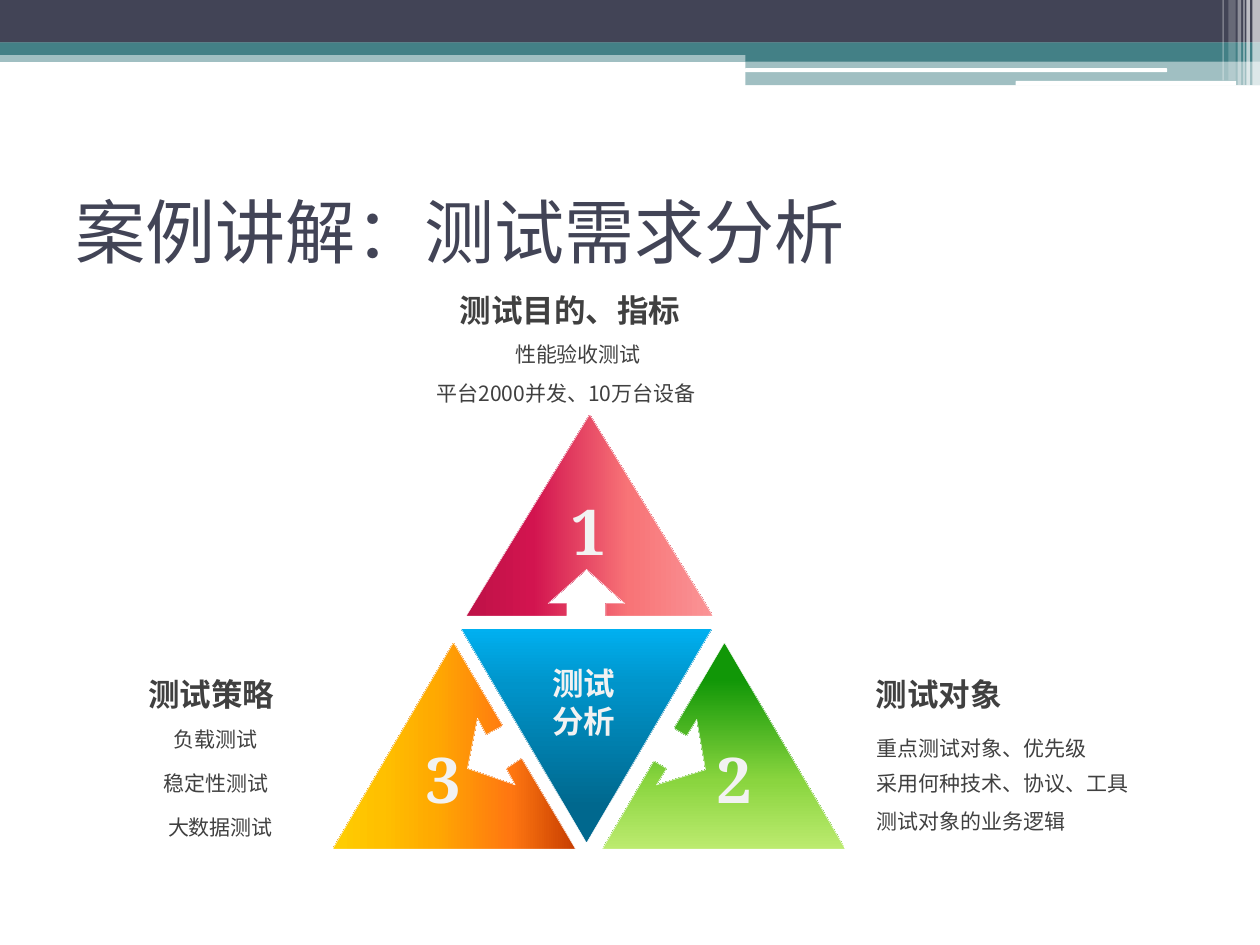
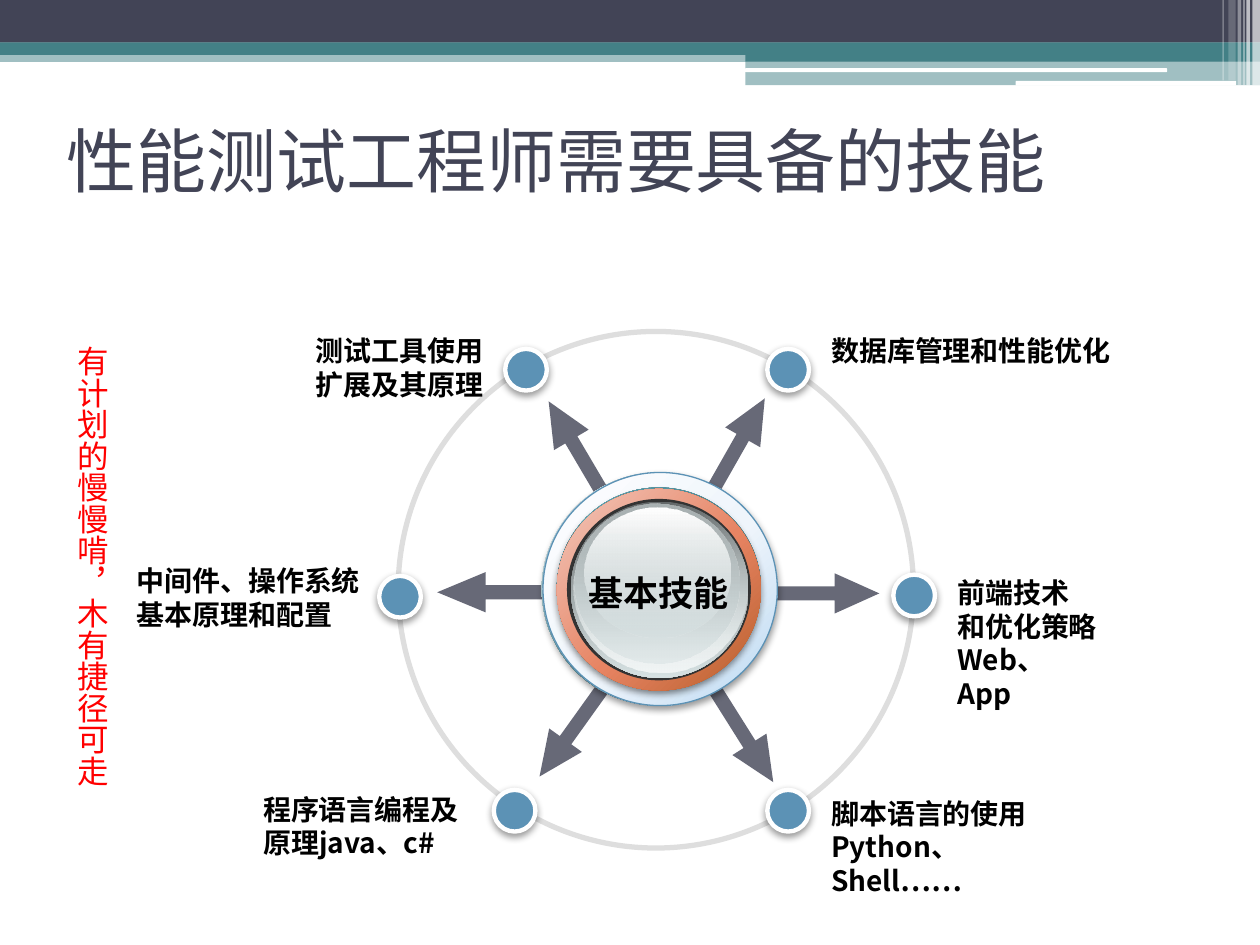
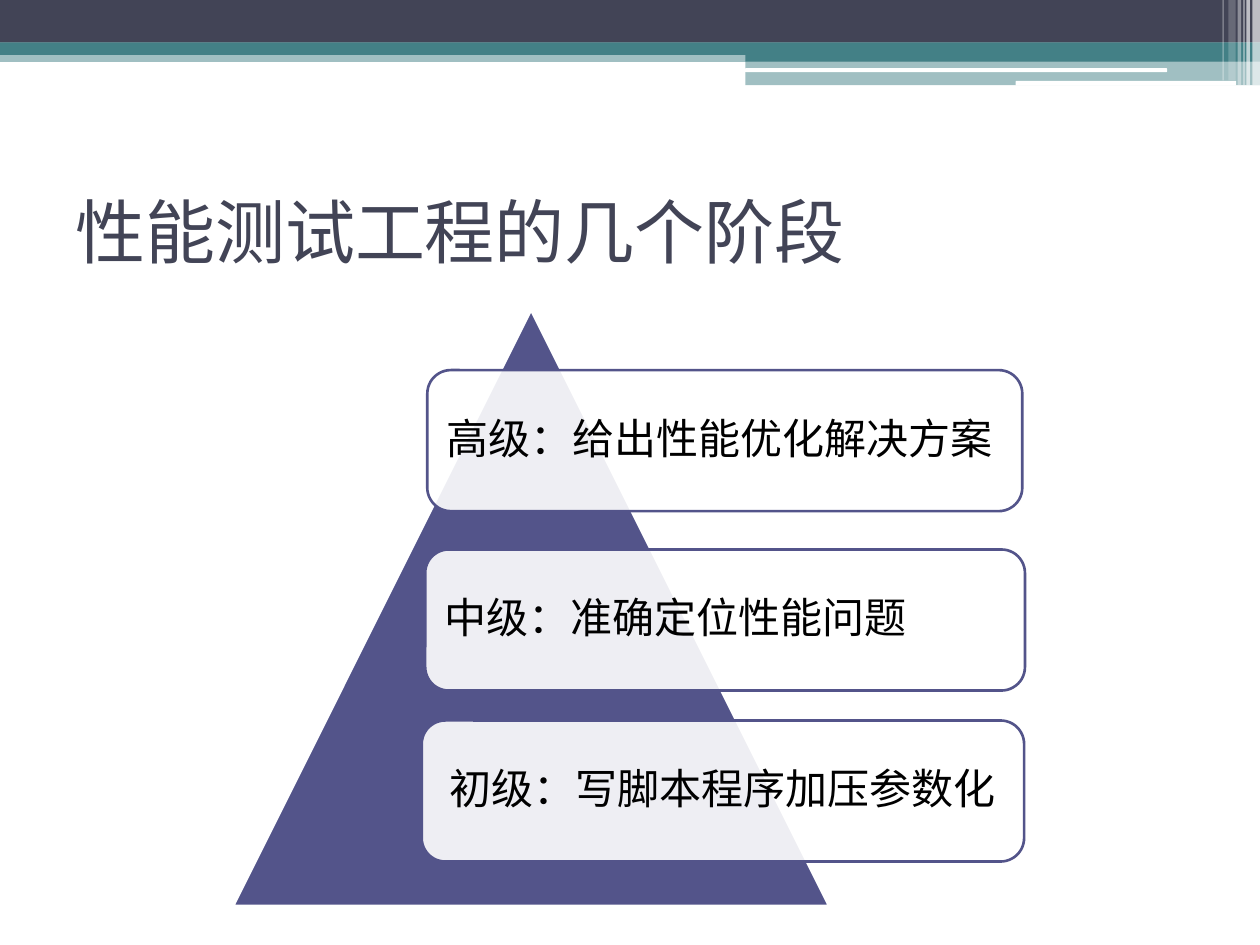
from dataclasses import dataclass
from typing import Optional, Union

from lxml.etree import Element, SubElement
from pptx import Presentation
from pptx.dml.color import RGBColor
from pptx.enum.shapes import MSO_SHAPE as Preset
from pptx.enum.text import MSO_ANCHOR as Anchor, PP_ALIGN as Align
from pptx.oxml.ns import qn
from pptx.shapes.autoshape import Shape
from pptx.slide import Slide
from pptx.util import Pt


@dataclass(frozen=True)
class Solid:
    color: str
    alpha: int = 100


@dataclass(frozen=True)
class Gradient:
    stops: tuple
    angle: int = 0
    focus: Optional[tuple[int, int]] = None


Fill = Optional[Union[Solid, Gradient]]


@dataclass(frozen=True)
class Line:
    color: str
    width: float


@dataclass(frozen=True)
class Shadow:
    alpha: int
    blur: float
    distance: float


@dataclass(frozen=True)
class Box:
    left: float
    top: float
    width: float
    height: float


def centred_box(x: float, y: float, width: float, height: float) -> Box:
    return Box(x - width / 2, y - height / 2, width, height)


@dataclass(frozen=True)
class Theme:
    navy: str = "424456"
    teal: str = "438086"
    white: str = "FFFFFF"
    black: str = "000000"
    gray: str = "404040"
    pale: str = "F2F2F2"
    red: str = "FF0000"
    indigo: str = "53548A"
    blue: str = "5C92B5"
    orbit: str = "DEDEDE"
    dark: str = "333333"
    title_font: str = "Karla"
    sans: str = "Noto Sans CJK SC"
    serif: str = "Noto Serif"
    title_size: int = 40
    number_size: int = 36
    stage_size: int = 24
    hub_size: int = 20
    head_size: int = 18
    skill_size: int = 16
    body_size: int = 12
    crimson: Gradient = Gradient(((0, "BE1247"), (27, "D2144F"), (66, "F87477"), (100, "FA9496")))
    green: Gradient = Gradient(((18, "119707"), (67, "8AD53F"), (100, "BCEB6F")), 90)
    azure: Gradient = Gradient(((17, "00688E"), (74, "0094CA"), (100, "00B0F0")), 90)
    orange: Gradient = Gradient(
        ((0, "C73E01"), (27, "FF7711"), (59, "FFAA01"), (80, "FFC000"), (100, "FECE02")), 180)
    backing: Gradient = Gradient(((0, "FFFFFF"), (50, "67AFBD"), (100, "FFFFFF")), 45)
    halo: Gradient = Gradient(((0, "FEFEFF"), (55, "EFF5FB"), (100, "BAD8F2")), focus=(-40, -90))
    rim: Gradient = Gradient(((0, "4F8691"), (50, "67AFBD"), (100, "4F8691")), 315)
    copper: Gradient = Gradient(((0, "F2C9BF"), (55, "E78463"), (100, "B75E2A")), focus=(-40, -90))
    steel: Gradient = Gradient(((0, "636869"), (100, "D6E1E2")), 90)
    mist: Gradient = Gradient(((0, "D6E1E2", 0), (100, "F1F5F5")), 90)
    glass: Gradient = Gradient(((0, "AAB2B3"), (100, "D6E1E2", 48)), 90)
    gloss: Gradient = Gradient(((0, "FFFFFF"), (100, "D6E1E2", 38)), 90)


THEME = Theme()
SOFT_SHADOW = Shadow(40, 4.1, 2)
THIN_WHITE = Line(THEME.white, 0.25)


@dataclass(frozen=True)
class Band:
    box: Box
    fill: Solid
    preset: Preset = Preset.RECTANGLE


@dataclass(frozen=True)
class Label:
    text: str
    box: Box
    bold: bool = False
    size: int = THEME.body_size
    align: Align = Align.CENTER


@dataclass(frozen=True)
class Sector:
    number: str
    number_box: Box
    fill: Gradient
    outline: tuple


@dataclass(frozen=True)
class Spoke:
    x: float
    y: float
    angle: float
    length: float = 62.6


@dataclass(frozen=True)
class Ring:
    box: Box
    fill: Fill
    line: Optional[Line] = None
    shadow: Optional[Shadow] = None


@dataclass(frozen=True)
class Stage:
    text: str
    box: Box
    align: Align = Align.LEFT


def white_stripe(left: float, width: float, height: float, alpha: int) -> Band:
    return Band(Box(left, 0, width, height), Solid(THEME.white, alpha))


TEAL, PALE_TEAL, WHITE = Solid(THEME.teal), Solid(THEME.teal, 50), Solid(THEME.white)
BANDS = (
    Band(Box(0, 28.8, 720, 6.6), PALE_TEAL),
    Band(Box(0, 0, 720, 24.4), Solid(THEME.navy)),
    Band(Box(0, 24.2, 720, 7.2), TEAL),
    Band(Box(426, 27.8, 294, 7.3), TEAL),
    Band(Box(426, 34.8, 294, 13.9), PALE_TEAL),
    Band(Box(425.7, 39, 241.2, 2.2), WHITE, Preset.ROUNDED_RECTANGLE),
    Band(Box(580.4, 46.2, 126, 2.7), WHITE, Preset.ROUNDED_RECTANGLE),
    white_stripe(715.6, 4.4, 48.8, 65),
    white_stripe(712.2, 2, 48.8, 65),
    white_stripe(710.5, 0.8, 48.8, 60),
    white_stripe(707.2, 2, 48.8, 40),
    white_stripe(702, 4.2, 46, 20),
    white_stripe(698.6, 0.8, 46, 30),
)


def add_color(parent, color: str, alpha: int) -> None:
    node = SubElement(parent, qn("a:srgbClr"), val=color)
    if alpha < 100:
        SubElement(node, qn("a:alpha"), val=str(alpha * 1000))


def gradient_node(gradient: Gradient):
    node = Element(qn("a:gradFill"), rotWithShape="1")
    stop_list = SubElement(node, qn("a:gsLst"))
    for position, color, *alpha in gradient.stops:
        stop = SubElement(stop_list, qn("a:gs"), pos=str(position * 1000))
        add_color(stop, color, alpha[0] if alpha else 100)
    if gradient.focus:
        x, y = gradient.focus
        circle = SubElement(node, qn("a:path"), path="circle")
        edges = {"l": x, "t": y, "r": 100 - x, "b": 100 - y}
        SubElement(circle, qn("a:fillToRect"), {side: str(v * 1000) for side, v in edges.items()})
    else:
        SubElement(node, qn("a:lin"), ang=str(gradient.angle * 60000), scaled="0")
    return node


def style(shape: Shape, fill: Fill, line: Optional[Line] = None,
          shadow: Optional[Shadow] = None) -> Shape:
    shape.shadow.inherit = False
    properties = shape.element.spPr
    shape.fill.background()
    if isinstance(fill, Gradient):
        properties.replace(properties.find(qn("a:noFill")), gradient_node(fill))
    elif fill:
        node = Element(qn("a:solidFill"))
        add_color(node, fill.color, fill.alpha)
        properties.replace(properties.find(qn("a:noFill")), node)
    if line:
        shape.line.color.rgb = RGBColor.from_string(line.color)
        shape.line.width = Pt(line.width)
    else:
        shape.line.fill.background()
    if shadow:
        node = SubElement(
            properties.find(qn("a:effectLst")), qn("a:outerShdw"), blurRad=str(Pt(shadow.blur)),
            dist=str(Pt(shadow.distance)), dir="5400000", rotWithShape="0")
        add_color(node, THEME.black, shadow.alpha)
    return shape


def add_preset(page: Slide, preset: Preset, box: Box, fill: Fill, line: Optional[Line] = None,
               shadow: Optional[Shadow] = None) -> Shape:
    shape = page.shapes.add_shape(preset, Pt(box.left), Pt(box.top), Pt(box.width), Pt(box.height))
    return style(shape, fill, line, shadow)


def add_text(page: Slide, text: str, box: Box, *, size: int, color: str, font: str = THEME.sans,
             bold: bool = False, align: Align = Align.LEFT, anchor: Anchor = Anchor.TOP,
             wrap: bool = True, vertical: bool = False, spacing: float = 1.0) -> None:
    frame = page.shapes.add_textbox(
        Pt(box.left), Pt(box.top), Pt(box.width), Pt(box.height)).text_frame
    frame.word_wrap = wrap
    frame.vertical_anchor = anchor
    if vertical:
        frame._txBody.bodyPr.set("vert", "eaVert")
    frame.text = text
    for para in frame.paragraphs:
        para.alignment = align
        para.line_spacing = spacing
        for span in para.runs:
            span.font.name = font
            span.font.size = Pt(size)
            span.font.bold = bold
            span.font.color.rgb = RGBColor.from_string(color)
            SubElement(span.font._element, qn("a:ea"), typeface=THEME.sans)


def add_page(deck, title: str, left: float = 36, top: float = 90) -> Slide:
    page = deck.slides.add_slide(deck.slide_layouts[6])
    for band in BANDS:
        add_preset(page, band.preset, band.box, band.fill)
    add_text(page, title, Box(left, top, 648, 84), size=THEME.title_size, color=THEME.navy,
             font=THEME.title_font, anchor=Anchor.MIDDLE)
    return page


SECTORS = (
    Sector("1", Box(319, 277.9, 33.1, 51.1), THEME.crimson, (
        (337, 236.9), (407.5, 352.1), (346.3, 352.1), (346.3, 344.9), (357.1, 344.9),
        (335.2, 325.4), (313.2, 344.9), (324, 344.9), (324, 352.1), (266.4, 352.1))),
    Sector("2", Box(402.5, 419.8, 33.1, 51.1), THEME.green, (
        (414, 367.2), (483.1, 485.3), (344.2, 485.3), (373.7, 434.9), (380.9, 439.2),
        (375.1, 448.6), (403.2, 439.9), (398.2, 411.1), (392.4, 420.5), (385.2, 416.2))),
    Sector("3", Box(236.2, 419.8, 33.1, 51.1), THEME.orange, (
        (259.2, 367.2), (287.3, 414.7), (277.9, 419.8), (272.9, 410.4), (267.1, 439.2),
        (294.5, 448.6), (289.4, 439.2), (298.1, 433.4), (329, 485.3), (190.1, 485.3))),
)


def heading(text: str, x: float, top: float) -> Label:
    return Label(text, Box(x - 80.5, top, 161, 28.8), True, THEME.head_size)


def detail(text: str, x: float, top: float, width: float = 99) -> Label:
    return Label(text, Box(x - width / 2, top, width, 21.6))


def target(text: str, top: float) -> Label:
    return Label(text, Box(493.9, top, 167, 21.6), align=Align.LEFT)


ANALYSIS_LABELS = (
    heading("测试目的、指标", 325.7, 162.7),
    detail("性能验收测试", 330.3, 191.5, 134),
    detail("平台2000并发、10万台设备", 323.4, 213.8, 183),
    heading("测试策略", 120.6, 382.3),
    detail("负载测试", 122.9, 411.8),
    detail("稳定性测试", 123.7, 437),
    detail("大数据测试", 126, 462.2),
    heading("测试对象", 536.3, 382.3),
    target("重点测试对象、优先级", 416.9),
    target("采用何种技术、协议、工具", 437),
    target("测试对象的业务逻辑", 458.6),
)


def build_analysis(deck) -> None:
    page = add_page(deck, "案例讲解：测试需求分析")
    for sector in SECTORS:
        start, *rest = [(Pt(x), Pt(y)) for x, y in sector.outline]
        builder = page.shapes.build_freeform(*start)
        builder.add_line_segments(rest, close=True)
        style(builder.convert_to_shape(), sector.fill, THIN_WHITE)
    centre = add_preset(page, Preset.ISOSCELES_TRIANGLE, Box(263.5, 359.3, 143.3, 122.4),
                        THEME.azure, THIN_WHITE)
    centre.rotation = 180
    add_text(page, "测试分析", Box(306, 375.8, 55.4, 51.1), size=THEME.head_size,
             color=THEME.pale, bold=True, align=Align.CENTER)
    for sector in SECTORS:
        add_text(page, sector.number, sector.number_box, size=THEME.number_size, color=THEME.pale,
                 font=THEME.serif, bold=True, align=Align.CENTER, wrap=False)
    for label in ANALYSIS_LABELS:
        add_text(page, label.text, label.box, size=label.size, color=THEME.gray,
                 bold=label.bold, align=label.align)


SPOKES = (
    Spoke(421.6, 254.9, 299.6), Spoke(425.2, 420.5, 57.8), Spoke(329.4, 256.3, 239.5),
    Spoke(326.5, 418.3, 125.6), Spoke(471.2, 339.1, 0), Spoke(283.7, 338.4, 180, 67.7),
)
DOTS = ((228.6, 341), (300.6, 211.3), (450.4, 211.3), (294.1, 463.3), (450.4, 463.3), (522.4, 340.3))
SKILLS = (
    ("数据库管理和性能优化", Box(468, 187.2, 176.4, 26.6)),
    ("测试工具使用\n扩展及其原理", Box(173.5, 187.2, 113, 46.1)),
    ("前端技术\n和优化策略\nWeb、\nApp", Box(540, 325.4, 101.5, 84)),
    ("脚本语言的使用\nPython、\nShell……", Box(468, 451.4, 159.1, 65)),
    ("中间件、操作系统\n基本原理和配置", Box(71, 318.6, 145, 46.1)),
    ("程序语言编程及原理java、c#", Box(143.3, 449.3, 140.4, 46.1)),
)
RINGS = (
    Ring(Box(309.6, 270, 133.9, 133.2), THEME.backing),
    Ring(Box(310.3, 270, 133.9, 133.2), THEME.halo, Line(THEME.blue, 0.75), SOFT_SHADOW),
    Ring(Box(318.2, 278.6, 116.6, 115.2), THEME.rim),
    Ring(Box(318.2, 279.4, 116.6, 115.2), THEME.copper, shadow=Shadow(45, 4, 2)),
    Ring(Box(324, 285.1, 105.1, 103.7), Solid(THEME.dark)),
    Ring(Box(326.2, 286.6, 101.5, 100.8), THEME.steel),
    Ring(Box(327.6, 286.6, 99.4, 97.9), THEME.mist),
    Ring(Box(328.3, 288, 94.3, 91.4), THEME.glass),
    Ring(Box(334.1, 290.2, 83.5, 74.2), THEME.gloss),
)


def build_skills(deck) -> None:
    page = add_page(deck, "性能测试工程师需要具备的技能", 31, 49)
    for spoke in SPOKES:
        arrow = add_preset(page, Preset.RIGHT_ARROW,
                           centred_box(spoke.x, spoke.y, spoke.length, 23), Solid(THEME.navy, 80))
        arrow.adjustments[0] = 0.35
        arrow.adjustments[1] = 1.11 * spoke.length / 62.6
        arrow.rotation = spoke.angle
    add_preset(page, Preset.OVAL, Box(227.5, 189.4, 294.5, 295.2), None, Line(THEME.orbit, 3))
    for text, box in SKILLS:
        add_text(page, text, box, size=THEME.skill_size, color=THEME.black, bold=True)
    for x, y in DOTS:
        add_preset(page, Preset.OVAL, centred_box(x, y, 23.8, 23.8), Solid(THEME.blue),
                   Line(THEME.white, 2.5), SOFT_SHADOW)
    for ring in RINGS:
        add_preset(page, Preset.OVAL, ring.box, ring.fill, ring.line, ring.shadow)
    add_text(page, "基本技能", Box(329, 323.3, 95, 31.7), size=THEME.hub_size,
             color=THEME.black, bold=True, align=Align.CENTER, wrap=False)
    add_text(page, "有计划的慢慢啃，木有捷径可走", Box(31, 190.8, 36, 262.1), size=THEME.head_size,
             color=THEME.red, wrap=False, vertical=True)


STAGES = (
    Stage("高级：给出性能优化解决方案", Box(244.2, 211.5, 340, 80.6)),
    Stage("中级：准确定位性能问题", Box(243, 314, 342.7, 80.6)),
    Stage("初级：写脚本程序加压参数化", Box(241, 411.7, 344.2, 80.6), Align.CENTER),
)


def build_stages(deck) -> None:
    page = add_page(deck, "性能测试工程的几个阶段")
    add_preset(page, Preset.ISOSCELES_TRIANGLE, Box(133.2, 177.1, 340.6, 340.6),
               Solid(THEME.indigo), Line(THEME.white, 1.5))
    for stage in STAGES:
        box = stage.box
        add_preset(page, Preset.ROUNDED_RECTANGLE, box, Solid(THEME.white, 90),
                   Line(THEME.indigo, 1.5))
        inner = Box(box.left + 4, box.top + 4, box.width - 8, box.height - 8)
        add_text(page, stage.text, inner, size=THEME.stage_size, color=THEME.black,
                 font=THEME.serif, align=stage.align, anchor=Anchor.MIDDLE, spacing=0.9)


def main() -> None:
    deck = Presentation()
    deck.slide_width, deck.slide_height = Pt(720), Pt(540)
    build_analysis(deck)
    build_skills(deck)
    build_stages(deck)
    deck.save("out.pptx")


if __name__ == "__main__":
    main()
